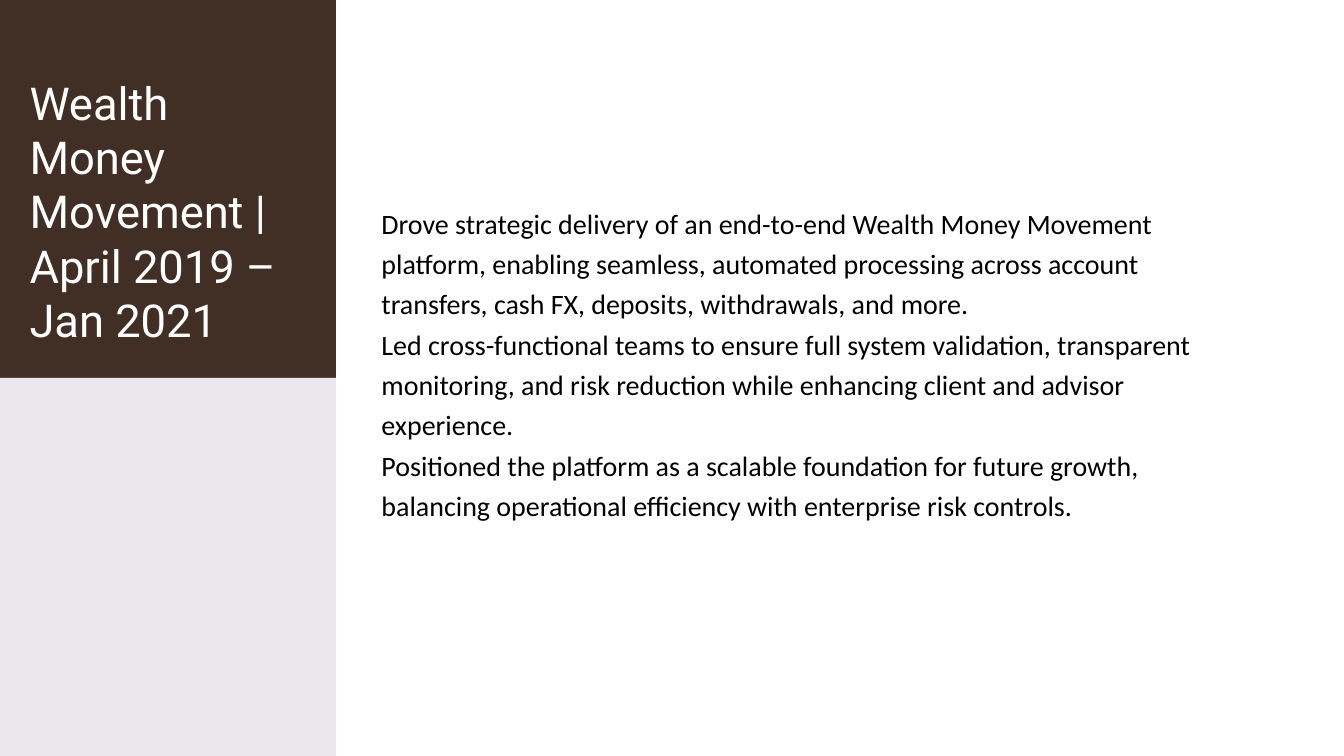
"""Build the Wealth Money Movement project slide."""
from dataclasses import dataclass
from typing import Optional

from lxml.etree import SubElement
from pptx import Presentation
from pptx.dml.color import RGBColor
from pptx.enum.shapes import MSO_SHAPE
from pptx.enum.text import MSO_ANCHOR, MSO_AUTO_SIZE, PP_ALIGN
from pptx.oxml.ns import qn
from pptx.util import Inches, Pt

PAGE_WIDTH = 10
PAGE_HEIGHT = PAGE_WIDTH * 9 / 16
SIDE_WIDTH, SIDE_HEIGHT = PAGE_WIDTH / 4, PAGE_HEIGHT / 2
TITLE = "Wealth Money Movement | April 2019 – Jan 2021"
ACHIEVEMENTS = [
    "Drove strategic delivery of an end-to-end Wealth Money Movement platform, "
    "enabling seamless, automated processing across account transfers, cash FX, "
    "deposits, withdrawals, and more.",
    "Led cross-functional teams to ensure full system validation, transparent "
    "monitoring, and risk reduction while enhancing client and advisor experience.",
    "Positioned the platform as a scalable foundation for future growth, "
    "balancing operational efficiency with enterprise risk controls.",
]


@dataclass
class Panel:
    left: float
    top: float
    width: float
    height: float
    color: str
    opacity: Optional[int] = None


@dataclass
class TextStyle:
    font: str
    size: float
    color: str
    anchor: MSO_ANCHOR


PANELS = [
    Panel(0, 0, PAGE_WIDTH, PAGE_HEIGHT, "FFFFFF"),
    Panel(0, 0, SIDE_WIDTH, SIDE_HEIGHT, "412E24"),
    Panel(0, SIDE_HEIGHT, SIDE_WIDTH, SIDE_HEIGHT, "E8E2E8"),
    Panel(0, SIDE_HEIGHT, SIDE_WIDTH, SIDE_HEIGHT, "FFFFFF", opacity=20),
]
TITLE_STYLE = TextStyle("Roboto", 24.3, "FFFFFF", MSO_ANCHOR.BOTTOM)
BODY_STYLE = TextStyle("Calibri", 15, "000000", MSO_ANCHOR.MIDDLE)


def paint(color_format, color: str) -> None:
    color_format.rgb = RGBColor.from_string(color)


def draw_panel(page, panel: Panel) -> None:
    box = page.shapes.add_shape(
        MSO_SHAPE.RECTANGLE, Inches(panel.left), Inches(panel.top),
        Inches(panel.width), Inches(panel.height))
    box.shadow.inherit = False
    box.line.fill.background()
    box.fill.solid()
    paint(box.fill.fore_color, panel.color)
    if panel.opacity is not None:
        color = box.element.spPr.find(qn("a:solidFill"))[0]
        SubElement(color, qn("a:alpha"), val=str(panel.opacity * 1000))


def write_lines(box, lines: list[str], style: TextStyle):
    frame = box.text_frame
    frame.word_wrap = True
    frame.auto_size = MSO_AUTO_SIZE.NONE
    frame.vertical_anchor = style.anchor
    para = frame.paragraphs[0]
    para.alignment = PP_ALIGN.LEFT
    for index, line in enumerate(lines):
        if index:
            para.add_line_break()
        span = para.add_run()
        span.text = line
        span.font.name = style.font
        span.font.size = Pt(style.size)
        paint(span.font.color, style.color)
    return para


def main() -> None:
    deck = Presentation()
    deck.slide_width, deck.slide_height = Inches(PAGE_WIDTH), Inches(PAGE_HEIGHT)
    page = deck.slides.add_slide(deck.slide_layouts[5])
    for panel in PANELS:
        draw_panel(page, panel)

    title = page.shapes.title
    title.left, title.top = Inches(0.12), Inches(0.3)
    title.width, title.height = Inches(2.17), Inches(2.33)
    write_lines(title, [TITLE], TITLE_STYLE)
    title.element.getparent().append(title.element)

    body = page.shapes.add_textbox(
        Inches(2.74), Inches(0.3), Inches(6.57), Inches(4.77))
    para = write_lines(body, ACHIEVEMENTS, BODY_STYLE)
    para.line_spacing = 1.2
    para.space_before = Pt(7.5)
    deck.save("out.pptx")


if __name__ == "__main__":
    main()
